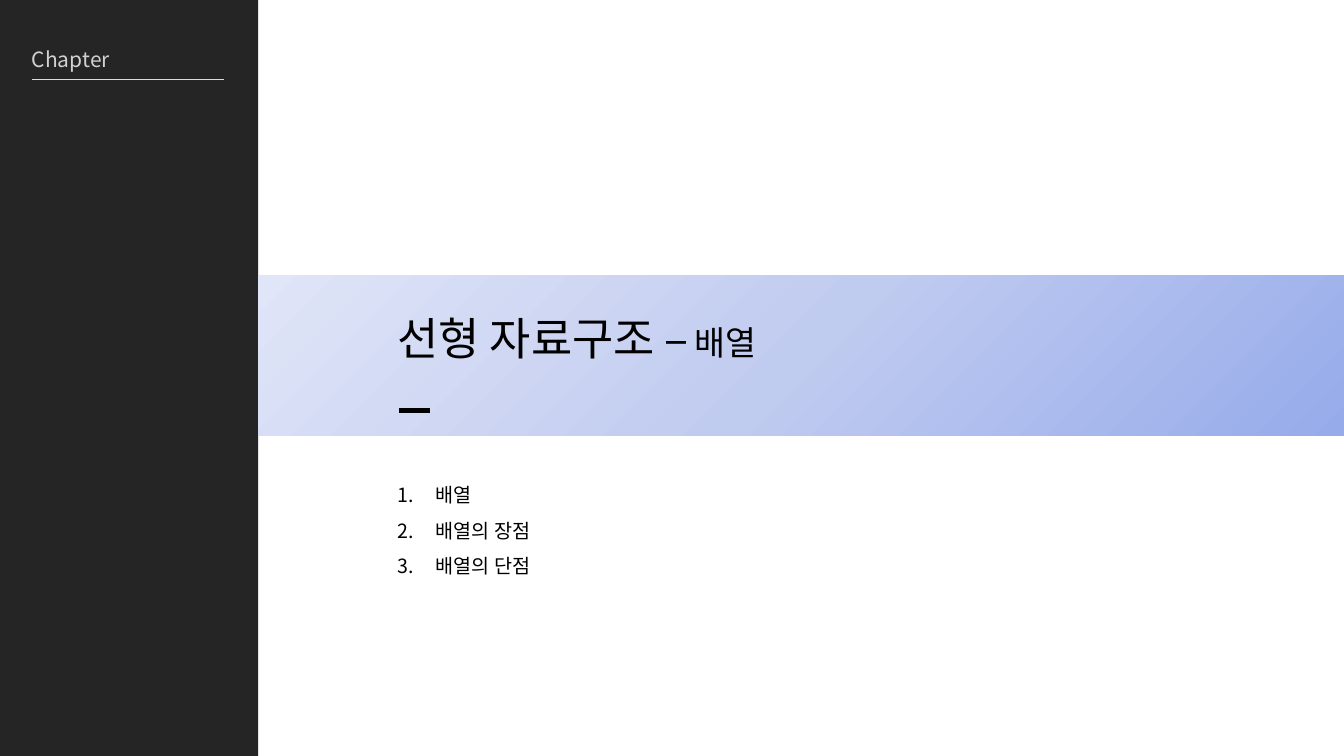
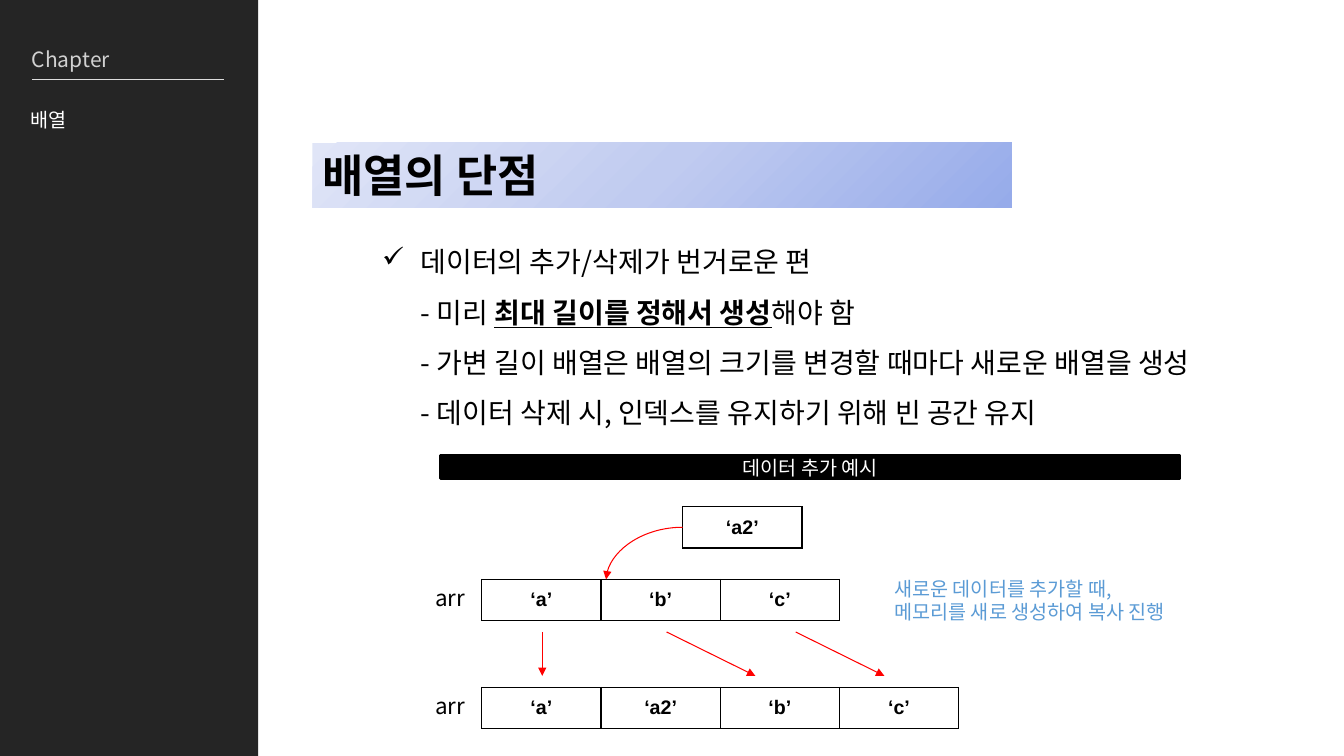
from dataclasses import dataclass
from typing import Optional

from lxml.etree import SubElement
from pptx import Presentation
from pptx.dml.color import RGBColor
from pptx.enum.shapes import MSO_CONNECTOR, MSO_SHAPE
from pptx.enum.text import MSO_ANCHOR, MSO_AUTO_SIZE, PP_ALIGN
from pptx.oxml import parse_xml
from pptx.oxml.ns import nsdecls, qn
from pptx.shapes.autoshape import Shape
from pptx.shapes.connector import Connector
from pptx.slide import Slide
from pptx.text.text import TextFrame
from pptx.util import Emu, Inches, Pt

# Shared style
SLIDE_WIDTH, SLIDE_HEIGHT = Inches(13.33), Inches(7.5)
KOREAN_FONT, CELL_FONT = "Noto Sans CJK KR", "Arial"
BLACK, WHITE, RED = "000000", "FFFFFF", "FF0000"
SIDEBAR_FILL, SIDEBAR_TEXT, SIDEBAR_RULE = "252525", "D1D1D1", "DDDDDD"
NOTE_BLUE = "5B9BD5"
BAND_STOPS = ((0, "96ABEA"), (50, "C0CBF0"), (100, "E0E5F7"))
SIDEBAR_WIDTH = 19.2
TIGHT, NORMAL = 0.05, 0.1
NUMBERED = '<a:buAutoNum {} type="arabicPeriod"/>'
CHECKED = '<a:buChar {} char="✓"/>'

# Array cells, in percent of the slide
ARRAY_LEFT, CELL_WIDTH, CELL_HEIGHT = 35.85, 8.87, 5.44
OLD_ARRAY_TOP, NEW_ARRAY_TOP = 76.65, 90.95


@dataclass(frozen=True)
class Box:
    """Position and size in percent of the slide's width and height."""
    left: float
    top: float
    width: float
    height: float

    def lengths(self) -> tuple[Emu, Emu, Emu, Emu]:
        return (across(self.left), down(self.top),
                across(self.width), down(self.height))


@dataclass(frozen=True)
class Run:
    text: str
    size: Optional[float] = None
    bold: bool = False
    underline: bool = False


@dataclass(frozen=True)
class ArrayRow:
    left: float
    top: float
    values: tuple[str, ...]
    label: str = ""


@dataclass(frozen=True)
class Arrow:
    start: tuple[float, float]
    end: tuple[float, float]
    curved: bool = False


ARRAY_ROWS = (
    ArrayRow(50.8, 67.05, ("‘a2’",)),
    ArrayRow(ARRAY_LEFT, OLD_ARRAY_TOP, ("‘a’", "‘b’", "‘c’"), "arr"),
    ArrayRow(ARRAY_LEFT, NEW_ARRAY_TOP, ("‘a’", "‘a2’", "‘b’", "‘c’"), "arr"),
)
ARROWS = (
    Arrow((50.8, 69.75), (45.1, OLD_ARRAY_TOP), curved=True),
    Arrow((40.35, 83.6), (40.35, 89.4)),
    Arrow((49.6, 83.6), (56.2, 89.4)),
    Arrow((59.2, 83.6), (65.8, 89.4)),
)


def across(percent: float) -> Emu:
    return Emu(round(SLIDE_WIDTH * percent / 100))


def down(percent: float) -> Emu:
    return Emu(round(SLIDE_HEIGHT * percent / 100))


def color(value: str) -> RGBColor:
    return RGBColor.from_string(value)


def write(frame: TextFrame, paragraphs: list[list[Run]], *, size: float,
          font: str = KOREAN_FONT, fill: str = BLACK,
          align: PP_ALIGN = PP_ALIGN.LEFT, spacing: float = 1.0,
          bullet: str = "") -> None:
    """Fill a text frame; a line feed in a run becomes a line break."""
    for index, runs in enumerate(paragraphs):
        paragraph = frame.paragraphs[0] if index == 0 else frame.add_paragraph()
        paragraph.alignment = align
        paragraph.line_spacing = spacing
        if bullet:
            properties = paragraph._p.get_or_add_pPr()
            indent = Inches(0.38)
            properties.set("marL", str(indent))
            properties.set("indent", str(-indent))
            properties.append(parse_xml(bullet.format(nsdecls("a"))))
        for item in runs:
            for line, text in enumerate(item.text.split("\n")):
                if line:
                    paragraph.add_line_break()
                run = paragraph.add_run()
                run.text = text
                run.font.size = Pt(item.size or size)
                run.font.name = font
                run.font.bold = item.bold
                run.font.underline = item.underline
                run.font.color.rgb = color(fill)
                SubElement(run._r.rPr, qn("a:ea")).set("typeface", font)


def add_text(slide: Slide, box: Box, paragraphs: list[list[Run]], *,
             inset: float = NORMAL, wrap: bool = True, **text_format) -> None:
    frame = slide.shapes.add_textbox(*box.lengths()).text_frame
    frame.margin_left = frame.margin_right = Inches(inset)
    frame.word_wrap = wrap
    frame.auto_size = MSO_AUTO_SIZE.SHAPE_TO_FIT_TEXT
    write(frame, paragraphs, **text_format)


def add_rectangle(slide: Slide, box: Box, fill: str) -> Shape:
    shape = slide.shapes.add_shape(MSO_SHAPE.RECTANGLE, *box.lengths())
    shape.shadow.inherit = False
    shape.fill.solid()
    shape.fill.fore_color.rgb = color(fill)
    shape.line.fill.background()
    return shape


def add_band(slide: Slide, box: Box) -> Shape:
    """Rectangle whose gradient spreads from its lower right corner."""
    shape = add_rectangle(slide, box, WHITE)
    stops = "".join(f'<a:gs pos="{position * 1000}"><a:srgbClr val="{value}"/></a:gs>'
                    for position, value in BAND_STOPS)
    gradient = parse_xml(
        f'<a:gradFill {nsdecls("a")} rotWithShape="1"><a:gsLst>{stops}</a:gsLst>'
        '<a:path path="circle"><a:fillToRect l="100000" t="100000"/></a:path>'
        '</a:gradFill>')
    properties = shape._element.spPr
    properties.replace(properties.find(qn("a:solidFill")), gradient)
    return shape


def add_line(slide: Slide, start: tuple[float, float], end: tuple[float, float],
             stroke: str, width: float,
             kind: MSO_CONNECTOR = MSO_CONNECTOR.STRAIGHT) -> Connector:
    connector = slide.shapes.add_connector(
        kind, across(start[0]), down(start[1]), across(end[0]), down(end[1]))
    connector.line.color.rgb = color(stroke)
    connector.line.width = Pt(width)
    SubElement(connector._element.spPr, qn("a:effectLst"))
    return connector


def add_arrow(slide: Slide, arrow: Arrow) -> None:
    kind = MSO_CONNECTOR.CURVE if arrow.curved else MSO_CONNECTOR.STRAIGHT
    connector = add_line(slide, arrow.start, arrow.end, RED, 0.75, kind)
    properties = connector._element.spPr
    SubElement(properties.find(qn("a:ln")), qn("a:tailEnd")).set("type", "triangle")
    if arrow.curved:
        properties.find(qn("a:prstGeom")).set("prst", "curvedConnector2")


def add_array(slide: Slide, row: ArrayRow) -> None:
    """One-row table of array values with an optional name before it."""
    box = Box(row.left, row.top, CELL_WIDTH * len(row.values), CELL_HEIGHT)
    table = slide.shapes.add_table(1, len(row.values), *box.lengths()).table
    table.first_row = table.horz_banding = False
    for cell, value in zip(table.iter_cells(), row.values):
        cell.vertical_anchor = MSO_ANCHOR.MIDDLE
        write(cell.text_frame, [[Run(value, bold=True)]], size=14,
              font=CELL_FONT, align=PP_ALIGN.CENTER)
        properties = cell._tc.get_or_add_tcPr()
        for side in ("lnL", "lnR", "lnT", "lnB"):
            properties.append(parse_xml(
                f'<a:{side} {nsdecls("a")} w="{Pt(1)}"><a:solidFill>'
                f'<a:srgbClr val="{BLACK}"/></a:solidFill></a:{side}>'))
        cell.fill.background()
    if row.label:
        add_text(slide, Box(row.left - 4.2, row.top - 0.1, 3.8, 4.9),
                 [[Run(row.label)]], size=16, wrap=False)


def add_base_slide(presentation: Presentation) -> Slide:
    """Blank slide with the dark chapter sidebar."""
    slide = presentation.slides.add_slide(presentation.slide_layouts[6])
    add_rectangle(slide, Box(0, 0, SIDEBAR_WIDTH, 100), SIDEBAR_FILL)
    add_text(slide, Box(2, 5.5, 7.1, 4.7), [[Run("Chapter")]],
             size=15, fill=SIDEBAR_TEXT, inset=TIGHT)
    add_line(slide, (2.4, 10.5), (16.7, 10.5), SIDEBAR_RULE, 0.8)
    return slide


def build_chapter_slide(presentation: Presentation) -> None:
    slide = add_base_slide(presentation)
    # Title band
    add_band(slide, Box(SIDEBAR_WIDTH, 36.4, 100 - SIDEBAR_WIDTH, 21.2))
    add_text(slide, Box(29.2, 40.5, 64.7, 8.5),
             [[Run("선형 자료구조 –"), Run(" ", 18), Run("배열", 24)]],
             size=32, inset=TIGHT)
    add_line(slide, (29.7, 54.3), (32, 54.3), BLACK, 3)
    # Contents
    topics = ("배열", "배열의 장점", "배열의 단점")
    add_text(slide, Box(29.2, 61.7, 61.7, 15.5), [[Run(topic)] for topic in topics],
             size=14, inset=TIGHT, spacing=1.5, bullet=NUMBERED)


def build_drawbacks_slide(presentation: Presentation) -> None:
    slide = add_base_slide(presentation)
    add_text(slide, Box(1.9, 12.1, 15.2, 6), [[Run("배열")]],
             size=14, fill=WHITE, inset=TIGHT, spacing=1.5)
    # Title band
    band = add_band(slide, Box(23.25, 18.9, 52.05, 8.6))
    band.text_frame.vertical_anchor = MSO_ANCHOR.TOP
    band.text_frame.auto_size = MSO_AUTO_SIZE.SHAPE_TO_FIT_TEXT
    write(band.text_frame, [[Run("배열의 단점", bold=True)]], size=32)
    # Drawbacks
    add_text(slide, Box(27.7, 29.5, 64.1, 27.6), [[
        Run("데이터의 추가/삭제가 번거로운 편\n- 미리 "),
        Run("최대 길이를 정해서 생성", bold=True, underline=True),
        Run("해야 함\n- 가변 길이 배열은 배열의 크기를 변경할 때마다 새로운 배열을 생성\n"
            "- 데이터 삭제 시, 인덱스를 유지하기 위해 빈 공간 유지"),
    ]], size=20, spacing=1.5, bullet=CHECKED)
    # Insertion example
    heading = add_rectangle(slide, Box(32.8, 60.3, 55, 3.05), BLACK)
    heading.line.color.rgb = color(BLACK)
    heading.line.width = Pt(2)
    heading.text_frame.vertical_anchor = MSO_ANCHOR.MIDDLE
    write(heading.text_frame, [[Run("데이터 추가 예시")]], size=14,
          fill=WHITE, align=PP_ALIGN.CENTER)
    for row in ARRAY_ROWS:
        add_array(slide, row)
    for arrow in ARROWS:
        add_arrow(slide, arrow)
    add_text(slide, Box(65.8, 75.6, 21.8, 7.6),
             [[Run("새로운 데이터를 추가할 때,\n메모리를 새로 생성하여 복사 진행")]],
             size=14, fill=NOTE_BLUE)


def main() -> None:
    presentation = Presentation()
    presentation.slide_width, presentation.slide_height = SLIDE_WIDTH, SLIDE_HEIGHT
    build_chapter_slide(presentation)
    build_drawbacks_slide(presentation)
    presentation.save("out.pptx")


if __name__ == "__main__":
    main()
